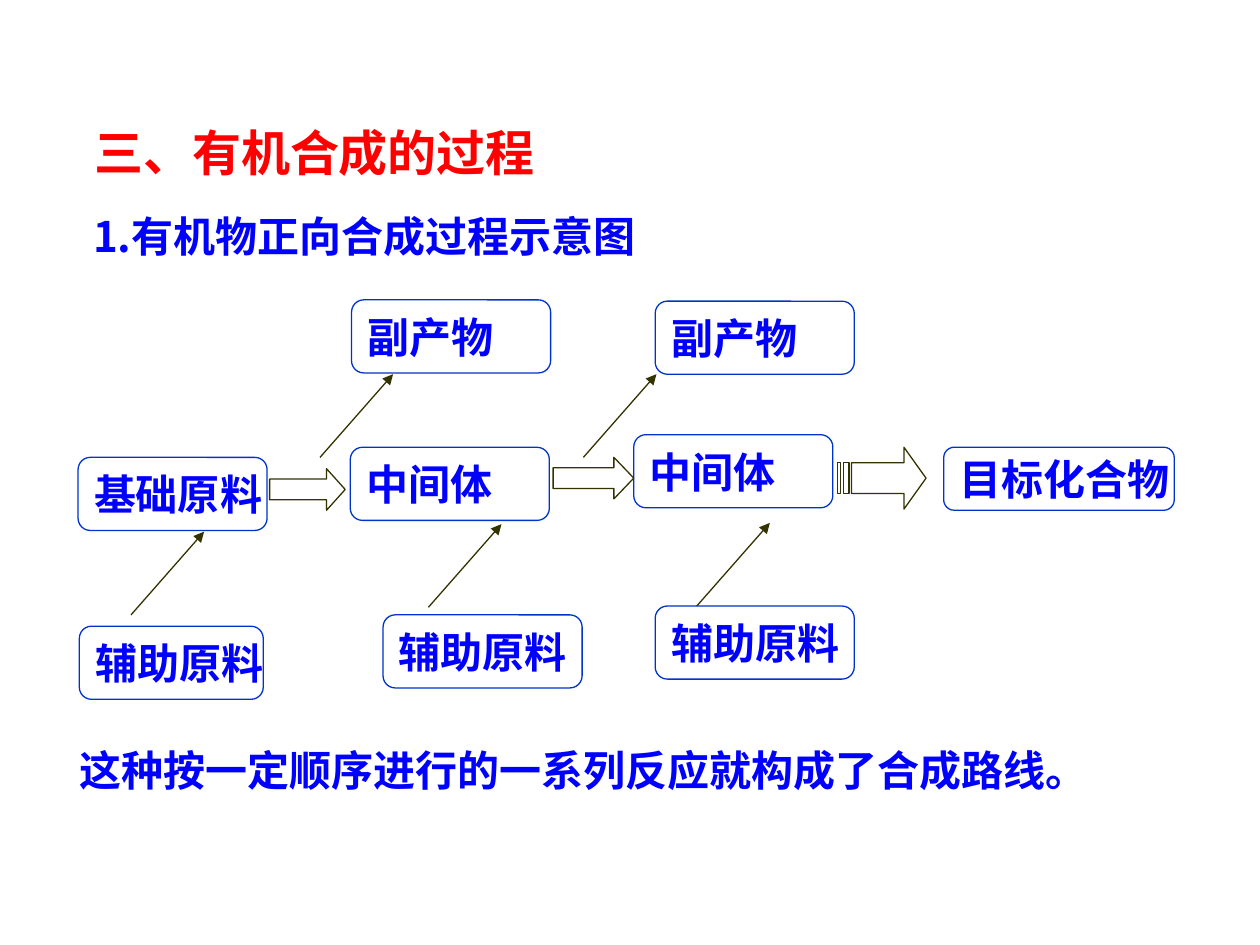
from lxml import etree
from pptx import Presentation
from pptx.dml.color import RGBColor
from pptx.enum.shapes import MSO_CONNECTOR, MSO_SHAPE
from pptx.enum.text import MSO_ANCHOR, PP_ALIGN
from pptx.oxml.ns import qn
from pptx.util import Inches, Pt

ROUNDED = MSO_SHAPE.ROUNDED_RECTANGLE
RIGHT_ARROW = MSO_SHAPE.RIGHT_ARROW
STRAIGHT = MSO_CONNECTOR.STRAIGHT
MIDDLE = MSO_ANCHOR.MIDDLE
LEFT = PP_ALIGN.LEFT

# The slide is a grid of 10 columns by 7.5 rows of one inch each.
COLUMNS, ROWS = 10, 7.5
CELL = Inches(1)

CJK_FONT = "Noto Sans CJK SC"
TITLE_FONT = "Times New Roman"
RED, BLUE, BORDER, OLIVE = "FF0000", "0000FF", "0033CC", "333300"
BOX_WIDTH, BOX_HEIGHT = 1.58, 0.58
FLOW_RUN, FLOW_RISE = 0.58, 0.66
ARROW_HEIGHT = 0.33

# Places inside the diagram: column, row, width, height
BOXES = [
    ("基础原料", 0, 1.25, 1.5, BOX_HEIGHT),
    ("辅助原料", 0.01, 2.59, 1.46, BOX_HEIGHT),
    ("副产物", 2.17, 0, BOX_WIDTH, BOX_HEIGHT),
    ("副产物", 4.58, 0.01, BOX_WIDTH, BOX_HEIGHT),
    ("中间体", 2.16, 1.17, BOX_WIDTH, BOX_HEIGHT),
    ("中间体", 4.41, 1.07, BOX_WIDTH, BOX_HEIGHT),
    ("辅助原料", 4.58, 2.43, BOX_WIDTH, BOX_HEIGHT),
    ("辅助原料", 2.42, 2.5, BOX_WIDTH, BOX_HEIGHT),
    ("目标化合物", 6.87, 1.17, 1.83, 0.5),
]
FLOW_STARTS = [(2.78, 2.44), (0.42, 2.5), (4.91, 2.43), (1.92, 1.25), (4.01, 1.25)]
BLOCK_ARROWS = [(1.52, 1.34, 0.6, 0.449), (3.77, 1.25, 0.64, 0.478)]


def grid(*lengths):
    return [int(length * CELL) for length in lengths]


def color(hex_string):
    return RGBColor.from_string(hex_string)


def outline(shape, hex_string):
    shape.shadow.inherit = False
    shape.fill.background()
    shape.line.color.rgb = color(hex_string)
    shape.line.width = Pt(0.75)


def write(shape, text, size, hex_string, font_name=CJK_FONT):
    paragraph = shape.text_frame.paragraphs[0]
    paragraph.text = text
    paragraph.alignment = LEFT
    run = paragraph.runs[0]
    run.font.name = font_name
    run.font.size = Pt(size)
    run.font.bold = True
    run.font.color.rgb = color(hex_string)
    east_asian = etree.SubElement(run.font._element, qn("a:ea"))
    east_asian.set("typeface", CJK_FONT)


def add_heading(slide, box, text, size, hex_string, font_name=CJK_FONT):
    text_box = slide.shapes.add_textbox(*grid(*box))
    text_box.text_frame.word_wrap = True
    write(text_box, text, size, hex_string, font_name)


def add_substance(slide, box, text):
    shape = slide.shapes.add_shape(ROUNDED, *grid(*box))
    outline(shape, BORDER)
    shape.text_frame.word_wrap = False
    shape.text_frame.vertical_anchor = MIDDLE
    write(shape, text, 24, BLUE)


def add_flow_line(slide, left, bottom):
    """Thin arrow rising to the right from its lower left end."""
    connector = slide.shapes.add_connector(
        STRAIGHT, *grid(left, bottom, left + FLOW_RUN, bottom - FLOW_RISE))
    connector.line.color.rgb = color(OLIVE)
    connector.line.width = Pt(0.75)
    etree.SubElement(connector.line._get_or_add_ln(), qn("a:tailEnd"), type="triangle")
    etree.SubElement(connector._element.spPr, qn("a:effectLst"))


def add_block_arrow(slide, box, head_ratio):
    arrow = slide.shapes.add_shape(RIGHT_ARROW, *grid(*box))
    arrow.adjustments[1] = head_ratio
    outline(arrow, OLIVE)


def add_striped_arrow(slide, left, top, width, height):
    """Block arrow with two stripes behind its shaft."""
    upper, lower = top + height / 4, top + height * 3 / 4
    neck, right = left + width * 0.75, left + width

    def bar(start, end):
        return [(start, upper), (end, upper), (end, lower), (start, lower)]

    shaft = left + width * 5 / 32
    head = [(shaft, upper), (neck, upper), (neck, top), (right, top + height / 2),
            (neck, top + height), (neck, lower), (shaft, lower)]
    contours = [head, bar(left, left + width / 32),
                bar(left + width / 16, left + width / 8)]
    builder = slide.shapes.build_freeform(*grid(*head[0]))
    for index, contour in enumerate(contours):
        points = [grid(*point) for point in contour]
        if index:
            builder.move_to(*points[0])
        builder.add_line_segments(points[1:], close=True)
    outline(builder.convert_to_shape(), OLIVE)


def add_diagram(slide, left, top):
    for text, column, row, width, height in BOXES:
        add_substance(slide, (left + column, top + row, width, height), text)
    for column, row in FLOW_STARTS:
        add_flow_line(slide, left + column, top + row)
    for column, row, width, head_ratio in BLOCK_ARROWS:
        add_block_arrow(slide, (left + column, top + row, width, ARROW_HEIGHT), head_ratio)
    add_striped_arrow(slide, left + 6.03, top + 1.17, 0.7, 0.49)


def main():
    presentation = Presentation()
    presentation.slide_width, presentation.slide_height = grid(COLUMNS, ROWS)
    blank_layout = presentation.slide_layouts[6]
    slide = presentation.slides.add_slide(blank_layout)
    add_diagram(slide, 0.62, 2.38)
    add_heading(slide, (0.65, 0.92, 4.35, 0.57), "三、有机合成的过程", 28, RED, TITLE_FONT)
    add_heading(slide, (0.53, 5.86, 8.93, 0.5),
                "这种按一定顺序进行的一系列反应就构成了合成路线。", 24, BLUE)
    add_heading(slide, (0.64, 1.62, 6.81, 0.5), "1.有机物正向合成过程示意图", 24, BLUE)
    presentation.save("out.pptx")


if __name__ == "__main__":
    main()
